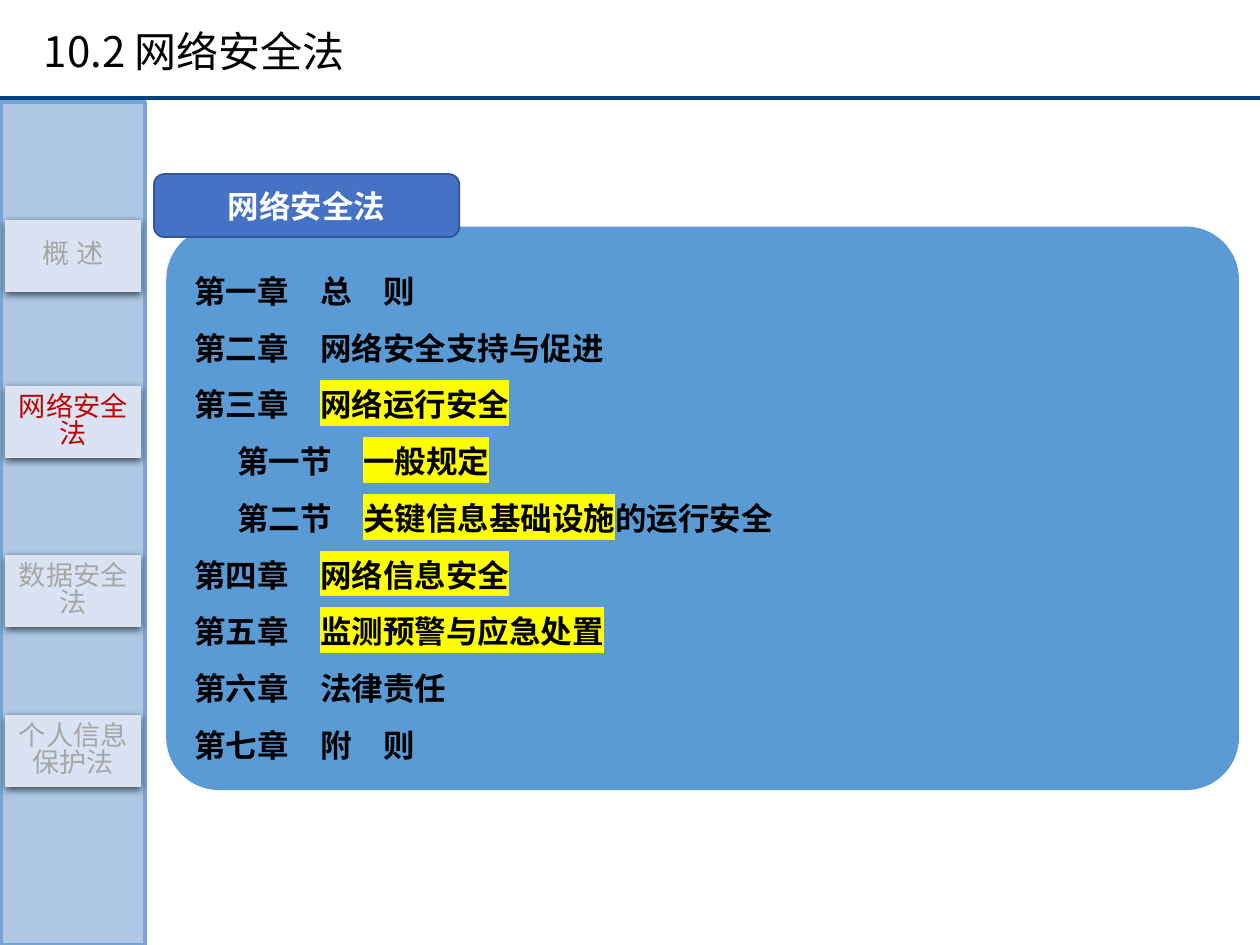
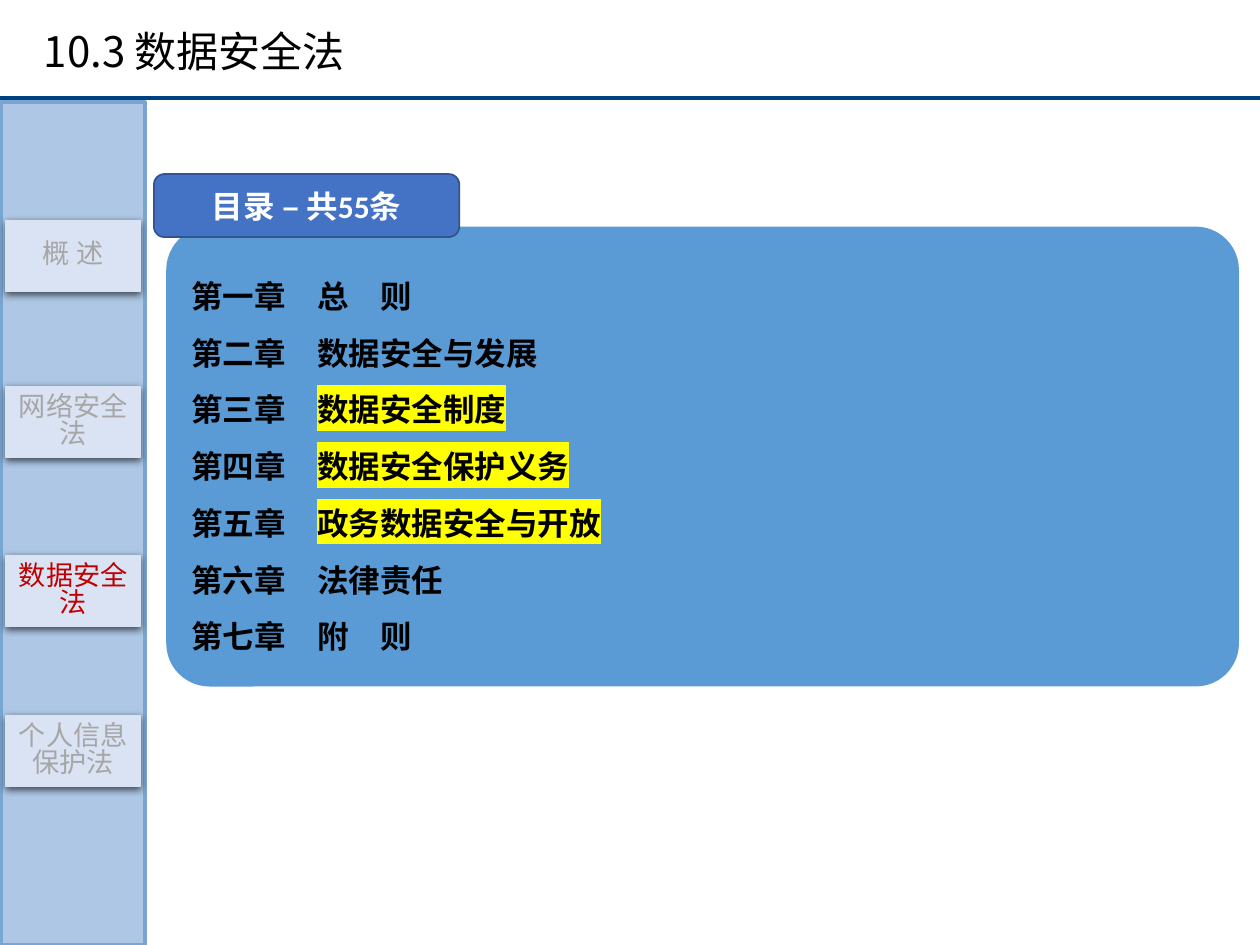
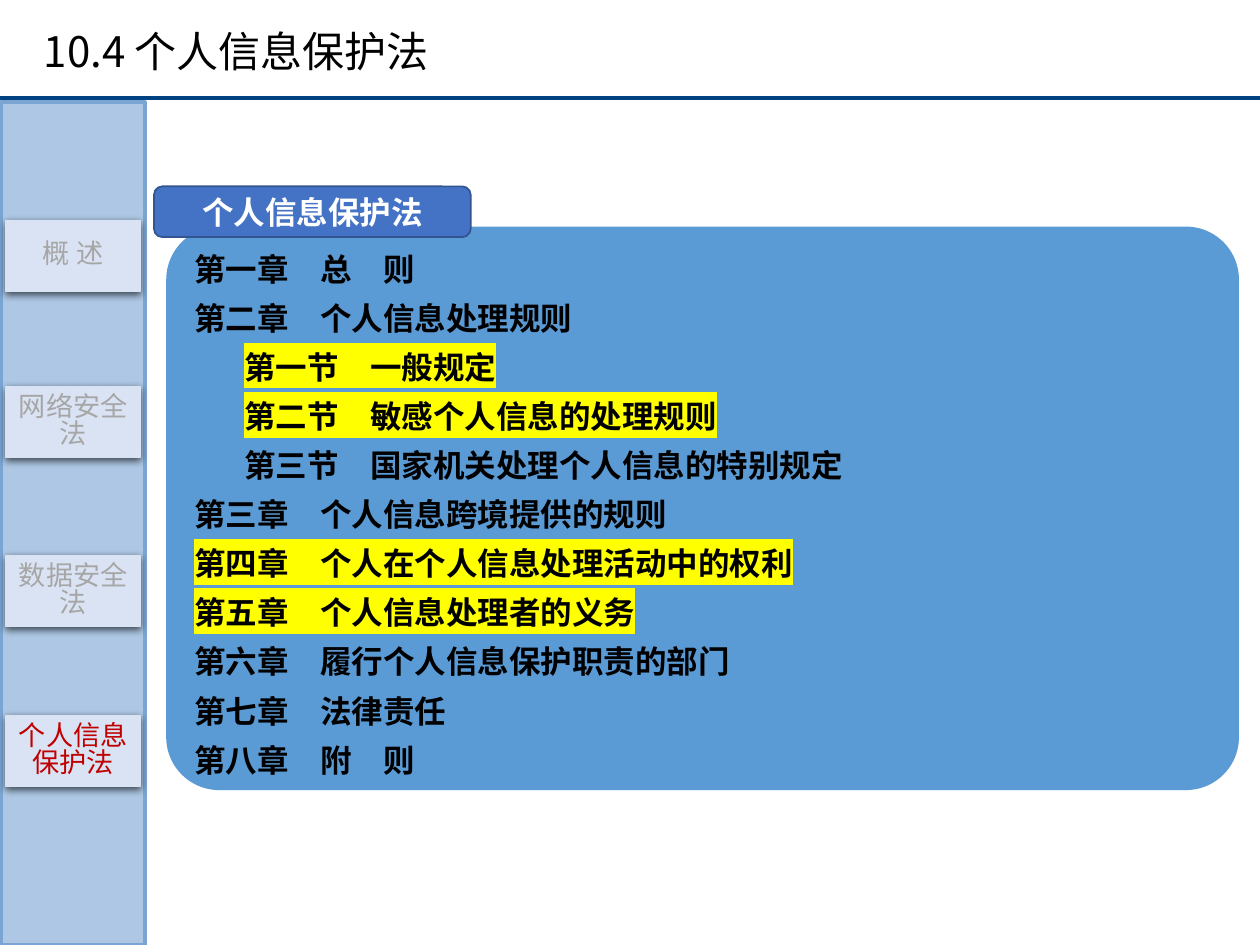
from lxml.etree import SubElement
from pptx import Presentation
from pptx.dml.color import RGBColor
from pptx.enum.shapes import MSO_CONNECTOR, MSO_SHAPE
from pptx.enum.text import MSO_ANCHOR, PP_ALIGN
from pptx.oxml import parse_xml
from pptx.oxml.ns import nsdecls, qn
from pptx.util import Pt

COLORS = {
    "rule": "004182", "panel": "5B9BD5", "tab": "4472C4", "tab_line": "325491",
    "sidebar": "7AA5D3", "button": "DAE3F3", "active": "C00000", "muted": "A6A6A6",
    "text": "000000", "white": "FFFFFF", "highlight": "FFFF00",
}
LATIN, CJK = "Calibri", "Noto Sans CJK SC"

# Sidebar topics with their top edges
TOPICS = {"概 述": 126, "网络安全法": 221, "数据安全法": 317.5, "个人信息保护法": 409}

# Chapters: "*" encloses highlighted words, ">" starts an indented section
SLIDES = [
    {
        "number": "10.2", "topic": "网络安全法", "label": "网络安全法",
        "tab": (99.5, 174.5, 36), "panel_height": 322, "spacing": 1.5, "indent": 24.6,
        "chapters": [
            "第一章　总　则",
            "第二章　网络安全支持与促进",
            "第三章　*网络运行安全*",
            ">第一节　*一般规定*",
            ">第二节　*关键信息基础设施*的运行安全",
            "第四章　*网络信息安全*",
            "第五章　*监测预警与应急处置*",
            "第六章　法律责任",
            "第七章　附　则",
        ],
    },
    {
        "number": "10.3", "topic": "数据安全法", "label": "目录 – 共55条",
        "tab": (99.5, 174.5, 36), "panel_height": 262.8, "spacing": 1.5, "indent": 0,
        "chapters": [
            "第一章　总　则",
            "第二章　数据安全与发展",
            "第三章　*数据安全制度*",
            "第四章　*数据安全保护义务*",
            "第五章　*政务数据安全与开放*",
            "第六章　法律责任",
            "第七章　附　则",
        ],
    },
    {
        "number": "10.4", "topic": "个人信息保护法", "label": "个人信息保护法",
        "tab": (106.5, 181, 29), "panel_height": 322, "spacing": 1.3, "indent": 28.6,
        "chapters": [
            "第一章　总　则",
            "第二章　个人信息处理规则",
            ">*第一节　一般规定*",
            ">*第二节　敏感个人信息的处理规则*",
            ">第三节　国家机关处理个人信息的特别规定",
            "第三章　个人信息跨境提供的规则",
            "*第四章　个人在个人信息处理活动中的权利*",
            "*第五章　个人信息处理者的义务*",
            "第六章　履行个人信息保护职责的部门",
            "第七章　法律责任",
            "第八章　附　则",
        ],
    },
]


def rgb(name):
    return RGBColor.from_string(COLORS[name])


class Deck:
    def __init__(self):
        self.prs = Presentation()
        self.prs.slide_width, self.prs.slide_height = Pt(720), Pt(540)
        self.s = None

    def new_slide(self):
        self.s = self.prs.slides.add_slide(self.prs.slide_layouts[6])

    def style(self, r, size, color, font=CJK, bold=False):
        r.font.size, r.font.bold, r.font.name = Pt(size), bold, font
        r.font.color.rgb = rgb(color)
        SubElement(r.font._element, qn("a:ea"), typeface=CJK)

    def highlight(self, r):
        mark = parse_xml(f'<a:highlight {nsdecls("a")}>'
                         f'<a:srgbClr val="{COLORS["highlight"]}"/></a:highlight>')
        r.font._element.find(qn("a:solidFill")).addnext(mark)

    def box(self, shapes, kind, x, y, w, h, fill, line=None, weight=1):
        sp = shapes.add_shape(kind, Pt(x), Pt(y), Pt(w), Pt(h))
        sp.shadow.inherit = False
        sp.fill.solid()
        sp.fill.fore_color.rgb = rgb(fill)
        if line:
            sp.line.color.rgb = rgb(line)
            sp.line.width = Pt(weight)
        else:
            sp.line.fill.background()
        sp.text_frame.word_wrap = True
        sp.text_frame.vertical_anchor = MSO_ANCHOR.MIDDLE
        return sp

    def caption(self, sp, text, size, color, **font):
        p = sp.text_frame.paragraphs[0]
        p.text = text
        p.alignment = PP_ALIGN.CENTER
        self.style(p.runs[0], size, color, **font)
        return p

    def title(self, text):
        rule = self.s.shapes.add_connector(MSO_CONNECTOR.STRAIGHT, 0, Pt(56), Pt(720), Pt(56))
        rule.line.color.rgb = rgb("rule")
        rule.line.width = Pt(2.25)
        SubElement(rule._element.spPr, qn("a:effectLst"))
        tf = self.s.shapes.add_textbox(Pt(18), Pt(16.5), Pt(620.5), Pt(29)).text_frame
        tf.word_wrap = True
        tf.vertical_anchor = MSO_ANCHOR.MIDDLE
        p = tf.paragraphs[0]
        p.text = text
        p.line_spacing = 0.9
        self.style(p.runs[0], 24, "text")

    def panel(self, height, chapters, spacing, indent):
        sp = self.box(self.s.shapes, MSO_SHAPE.ROUNDED_RECTANGLE, 95, 129.5, 613, height, "panel")
        sp.adjustments[0] = 0.094
        tf = sp.text_frame
        for i, chapter in enumerate(chapters):
            p = tf.add_paragraph() if i else tf.paragraphs[0]
            p.alignment = PP_ALIGN.LEFT
            p.line_spacing = spacing
            if chapter.startswith(">"):
                p._p.get_or_add_pPr().set("marL", str(Pt(indent)))
            for j, part in enumerate(chapter.lstrip(">").split("*")):
                if part:
                    r = p.add_run()
                    r.text = part
                    self.style(r, 18, "text", LATIN, True)
                    if j % 2:
                        self.highlight(r)

    def tab(self, label, top, width, height):
        sp = self.box(self.s.shapes, MSO_SHAPE.ROUNDED_RECTANGLE, 88, top, width, height,
                      "tab", "tab_line")
        self.caption(sp, label, 18, "white", font=LATIN, bold=True)

    def sidebar(self, active):
        shapes = self.s.shapes.add_group_shape().shapes
        bar = self.box(shapes, MSO_SHAPE.RECTANGLE, 0.75, 58.5, 82, 481.5,
                       "sidebar", "sidebar", 2.25)
        color = bar._element.spPr.find(qn("a:solidFill"))[0]
        SubElement(color, qn("a:alpha"), val="61000")
        for topic, top in TOPICS.items():
            sp = self.box(shapes, MSO_SHAPE.RECTANGLE, 3.5, top, 76.5, 40.5,
                          "button", "button", 0.75)
            self.drop_shadow(sp)
            sp.text_frame.margin_left = sp.text_frame.margin_right = Pt(5)
            p = self.caption(sp, topic, 15.5, "active" if topic == active else "muted")
            p.line_spacing = 0.82

    def drop_shadow(self, sp):
        effects = sp._element.spPr.find(qn("a:effectLst"))
        shadow = SubElement(effects, qn("a:outerShdw"), blurRad=str(Pt(4.5)),
                            dist=str(Pt(1.5)), dir="5400000", algn="t", rotWithShape="0")
        color = SubElement(shadow, qn("a:srgbClr"), val=COLORS["text"])
        SubElement(color, qn("a:alpha"), val="63000")


def main():
    deck = Deck()
    for law in SLIDES:
        deck.new_slide()
        deck.title(f'{law["number"]} {law["topic"]}')
        deck.panel(law["panel_height"], law["chapters"], law["spacing"], law["indent"])
        deck.sidebar(law["topic"])
        deck.tab(law["label"], *law["tab"])
    deck.prs.save("out.pptx")


if __name__ == "__main__":
    main()
